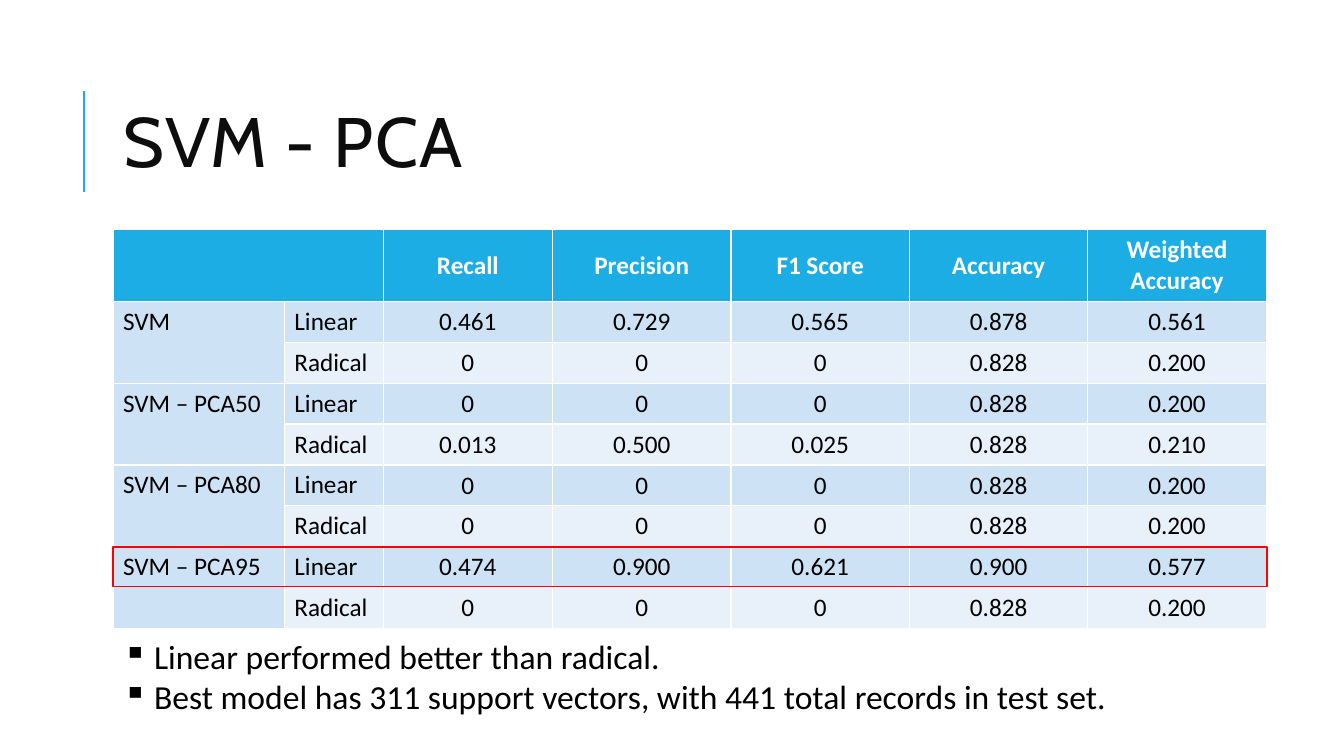
from pptx import Presentation
from pptx.dml.color import RGBColor
from pptx.enum.shapes import MSO_CONNECTOR, MSO_SHAPE
from pptx.enum.text import MSO_ANCHOR, PP_ALIGN
from pptx.oxml.ns import qn
from pptx.util import Pt
from lxml.etree import SubElement

PX = 9144  # 100 px to the inch
HUES = {"blue": "1CADE4", "band": "CDE3F5", "pale": "E8F1FA", "red": "FF0000",
        "white": "FFFFFF", "black": "000000", "ink": "0D0D0D"}


def hue(name):
    return RGBColor.from_string(HUES[name])


def style(para, size, face, color, bold=False):
    font = para.font
    font.size, font.name, font.bold = Pt(size), face, bold
    font.color.rgb = hue(color)


deck = Presentation()
deck.slide_width, deck.slide_height = 1333 * PX, 750 * PX
slide = deck.slides.add_slide(deck.slide_layouts[5])
shapes = slide.shapes
LEFT, WIDE = 112 * PX, 1145 * PX

# Title
title = shapes.title
title.left, title.top, title.width, title.height = LEFT, 64 * PX, 1063 * PX, 164 * PX
title.text_frame.text = "SVM - PCA"
title.text_frame.vertical_anchor = MSO_ANCHOR.MIDDLE
para = title.text_frame.paragraphs[0]
para.alignment, para.line_spacing = PP_ALIGN.LEFT, 0.8
style(para, 50, "Cabin", "ink")
para.runs[0]._r.get_or_add_rPr().set("spc", "100")

# Accent line beside the title
rule = shapes.add_connector(MSO_CONNECTOR.STRAIGHT, 83 * PX, 190 * PX, 83 * PX, 90 * PX)
rule.line.color.rgb, rule.line.width = hue("blue"), Pt(1.5)
SubElement(rule._element.spPr, qn("a:effectLst"))

# Table of scores
HEADS = ["", "", "Recall", "Precision", "F1 Score", "Accuracy", "Weighted Accuracy"]
NULL = ["0", "0", "0", "0.828", "0.200"]
SCORES = [
    ("SVM", ["0.461", "0.729", "0.565", "0.878", "0.561"], NULL),
    ("SVM – PCA50", NULL, ["0.013", "0.500", "0.025", "0.828", "0.210"]),
    ("SVM – PCA80", NULL, NULL),
    ("SVM – PCA95", ["0.474", "0.900", "0.621", "0.900", "0.577"], NULL),
]
rows = [HEADS]
for model, linear, radical in SCORES:
    rows += [[model, "Linear", *linear], ["", "Radical", *radical]]

table = shapes.add_table(len(rows), len(HEADS), LEFT, 228 * PX, WIDE, 391 * PX).table
for col, wide in zip(table.columns, [170, 98, 168, 177, 177, 177, 177]):
    col.width = wide * PX
for r, row in enumerate(rows):
    table.rows[r].height = (40 if r else 71) * PX
    for c, text in enumerate(row):
        cell = table.cell(r, c)
        cell.text = text
        cell.fill.solid()
        shade = "band" if r % 2 or c == 0 else "pale"
        cell.fill.fore_color.rgb = hue(shade if r else "blue")
        para = cell.text_frame.paragraphs[0]
        style(para, 18, "Calibri", "black" if r else "white", r == 0)
        if c > 1:
            para.alignment = PP_ALIGN.CENTER
            cell.vertical_anchor = MSO_ANCHOR.MIDDLE
table.cell(0, 0).merge(table.cell(0, 1))
for r in range(1, len(rows), 2):
    table.cell(r, 0).merge(table.cell(r + 1, 0))

# Frame around the best model
frame = shapes.add_shape(MSO_SHAPE.RECTANGLE, LEFT, 543 * PX, WIDE, 39 * PX)
frame.shadow.inherit = False
frame.fill.background()
frame.line.color.rgb, frame.line.width = hue("red"), Pt(1.25)

# Findings
NOTES = ["Linear performed better than radical.",
         "Best model has 311 support vectors, with 441 total records in test set."]
box = shapes.add_textbox(LEFT, 626 * PX, 1063 * PX, 91 * PX).text_frame
box.word_wrap = True
box.text = "\n".join(NOTES)
for para in box.paragraphs:
    style(para, 24, "Calibri", "black")
    props = para._p.get_or_add_pPr()
    props.set("marL", str(31 * PX))
    props.set("indent", str(-31 * PX))
    bullet = SubElement(props, qn("a:buChar"))
    bullet.set("char", "▪")
    props.insert(0, bullet)  # the bullet goes before the font defaults

deck.save("out.pptx")
